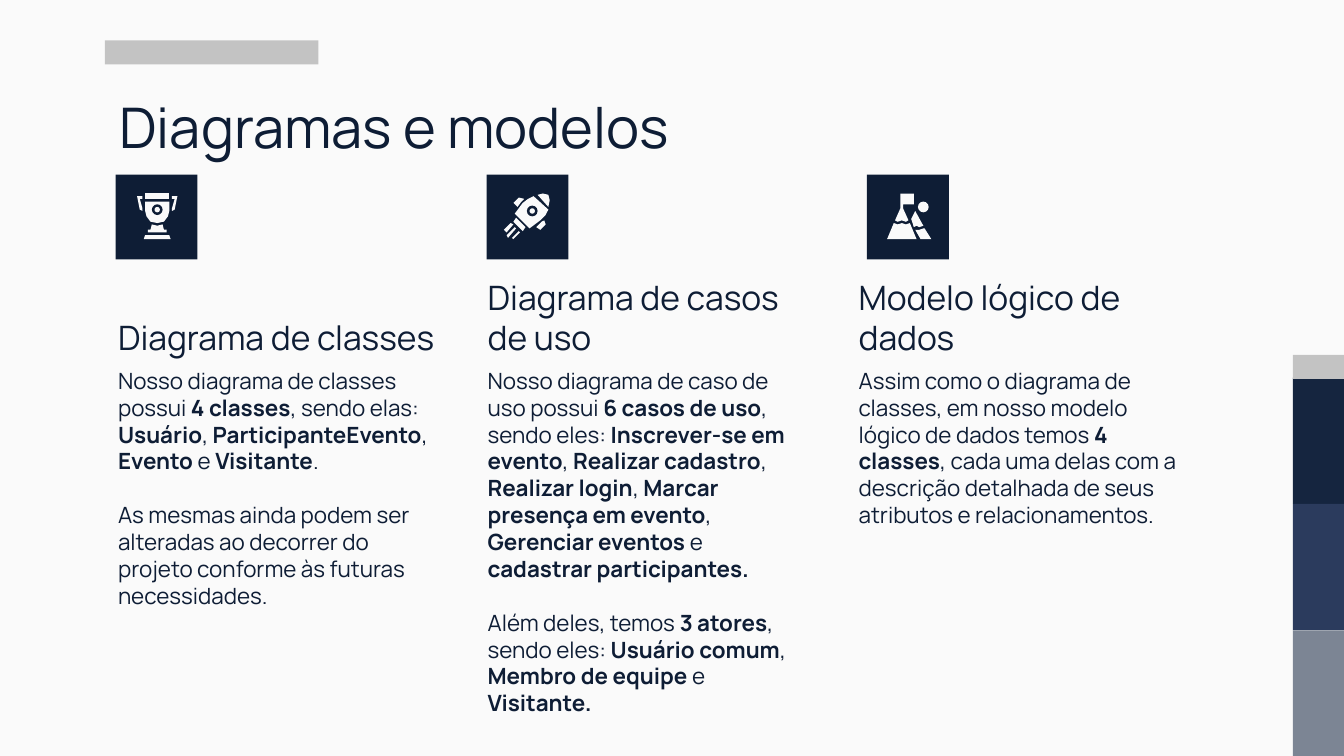
"""Build the slide on diagrams and models, with three icon columns."""
from pptx import Presentation
from pptx import util as u
from pptx.dml.color import RGBColor
from pptx.enum import shapes, text

NAVY, LIGHT, GREY = "0E1D35", "FAFAFA", "C3C3C3"
TITLE = "Diagramas e modelos"

TROPHY = {
    "outlines": [
        [(27, 37), (26, 41), (24, 41), (24, 43), (38, 43), (38, 41), (36, 41), (35, 37), (31, 38)],
        [(22, 45), (21, 48), (41, 48), (40, 45)],
        [(22, 20), (22, 27), (23, 31), (26, 35), (31, 36), (36, 35), (39, 31), (40, 27), (40, 20)],
        [(22, 14), (22, 18), (40, 18), (40, 14)],
        [(46, 16), (42, 16), (42, 18), (44, 18), (42, 25), (42, 27), (44, 26)],
        [(16, 16), (18, 26), (20, 27), (20, 25), (18, 18), (20, 18), (20, 16)],
    ],
    "discs": [(31, 26, 4, NAVY), (31, 26, 2, LIGHT)],
}
ROCKET = {
    "outlines": [
        [(22, 32), (20, 35), (27, 42), (29, 39)],
        [(24, 17), (20, 21), (23, 24), (26, 20), (28, 18)],
        [(43, 34), (41, 35), (37, 39), (40, 41), (44, 37)],
        [(18, 36), (13, 41), (15, 43), (20, 37)],
        [(21, 39), (15, 45), (16, 47), (22, 40)],
        [(24, 42), (19, 47), (20, 48), (25, 43)],
        [(42, 14), (38, 15), (46, 24), (47, 19), (46, 15)],
        [(35, 16), (31, 18), (27, 21), (21, 29), (32, 40), (40, 34), (44, 30), (46, 26)],
    ],
    "discs": [(34, 27, 4, NAVY), (34, 27, 2, LIGHT)],
}
MOUNTAIN = {
    "outlines": [
        [(32, 36), (29, 37), (26, 36), (23, 37), (20, 36), (15, 48), (37, 48)],
        [(25, 14), (25, 25), (21, 34), (23, 35), (26, 34), (29, 35), (31, 34), (27, 25),
         (27, 22), (35, 22), (35, 14)],
        [(36, 27), (33, 33), (35, 39), (37, 38), (39, 39), (42, 38)],
        [(42, 40), (39, 41), (36, 41), (40, 48), (48, 48), (43, 40)],
    ],
    "discs": [(42, 24, 4, LIGHT)],
}

COLUMNS = [
    ("Diagrama de classes", 0.86, TROPHY, [
        "Nosso diagrama de classes possui **4 classes**, sendo elas: **Usuário**, "
        "**ParticipanteEvento**, **Evento** e **Visitante**.",
        "As mesmas ainda podem ser alteradas ao decorrer do projeto conforme às futuras "
        "necessidades.",
    ]),
    ("Diagrama de casos de uso", 3.62, ROCKET, [
        "Nosso diagrama de caso de uso possui **6 casos de uso**, sendo eles: "
        "**Inscrever-se em evento**, **Realizar cadastro**,** Realizar login**,"
        "** Marcar presença em evento**,** Gerenciar eventos **e "
        "**cadastrar participantes.**",
        "Além deles, temos **3 atores**, sendo eles: **Usuário comum**, "
        "**Membro de equipe** e **Visitante.**",
    ]),
    ("Modelo lógico de dados", 6.45, MOUNTAIN, [
        "Assim como o diagrama de classes, em nosso modelo lógico de dados temos "
        "**4 classes**, cada uma delas com a descrição detalhada de seus atributos e "
        "relacionamentos.",
    ]),
]
COLUMN_LEFTS, COLUMN_WIDTH = [0.78, 3.53, 6.29], 2.59
TILE_TOP = 1.3
SIDE_COLOURS = ["15253F", "2B3B5D", "7C8594"]


def rgb(value):
    """Turn a hex string into a colour."""
    return RGBColor.from_string(value)


def paint(shape, colour):
    """Give a shape a flat fill with no line or shadow."""
    shape.fill.solid()
    shape.fill.fore_color.rgb = rgb(colour)
    shape.line.fill.background()
    shape.shadow.inherit = False


def add_block(parent, left, top, width, height, colour, kind=shapes.MSO_SHAPE.RECTANGLE):
    """Add a flat preset shape."""
    paint(parent.shapes.add_shape(kind, *map(u.Inches, (left, top, width, height))), colour)


def add_text(page, paragraphs, left, top, width, height, size=12, anchor=text.MSO_ANCHOR.TOP):
    """Add a text box in which ** switches bold on and off."""
    box = page.shapes.add_textbox(*map(u.Inches, (left, top, width, height)))
    frame = box.text_frame
    frame.word_wrap = True
    frame.vertical_anchor = anchor
    frame.margin_left = frame.margin_right = u.Inches(0.1)
    frame.margin_top = frame.margin_bottom = u.Inches(0.1)
    for index, content in enumerate(paragraphs):
        para = frame.add_paragraph() if index else frame.paragraphs[0]
        if index:
            para.space_before = u.Pt(size * 1.2)
        for order, part in enumerate(content.split("**")):
            if part:
                span = para.add_run()
                span.text = part
                span.font.name = "Manrope"
                span.font.size = u.Pt(size)
                span.font.bold = order % 2 == 1
                span.font.color.rgb = rgb(NAVY)


def add_icon(page, icon, left, top):
    """Draw an icon whose points are hundredths of an inch from its tile corner."""
    group = page.shapes.add_group_shape()
    for outline in icon["outlines"]:
        points = [(u.Inches(left + x / 100), u.Inches(top + y / 100)) for x, y in outline]
        builder = group.shapes.build_freeform(*points[0])
        builder.add_line_segments(points[1:], close=True)
        paint(builder.convert_to_shape(), LIGHT)
    for x, y, radius, colour in icon["discs"]:
        add_block(group, left + (x - radius) / 100, top + (y - radius) / 100,
                  radius / 50, radius / 50, colour, shapes.MSO_SHAPE.OVAL)


def main():
    """Place every part and save the deck."""
    deck = Presentation()
    deck.slide_width = u.Inches(10)
    deck.slide_height = u.Inches(10 * 9 / 16)
    page = deck.slides.add_slide(deck.slide_layouts[6])
    page.background.fill.solid()
    page.background.fill.fore_color.rgb = rgb(LIGHT)

    for row, colour in enumerate(SIDE_COLOURS):
        add_block(page, 9.62, 2.81 + row * 0.94, 0.4, 0.94, colour)
    add_block(page, 9.62, 2.64, 0.4, 0.18, GREY)
    add_block(page, 0.78, 0.3, 1.59, 0.18, GREY)
    add_text(page, [TITLE], 0.79, 0.59, 8.43, 0.63, size=30)

    for left, (heading, tile_left, icon, paragraphs) in zip(COLUMN_LEFTS, COLUMNS):
        add_text(page, [heading], left, 1.99, COLUMN_WIDTH, 0.77, size=18,
                 anchor=text.MSO_ANCHOR.BOTTOM)
        add_text(page, paragraphs, left, 2.63, COLUMN_WIDTH, 1.99)
        add_block(page, tile_left, TILE_TOP, 0.61, 0.63, NAVY)
        add_icon(page, icon, tile_left, TILE_TOP)

    deck.save("out.pptx")


if __name__ == "__main__":
    main()
